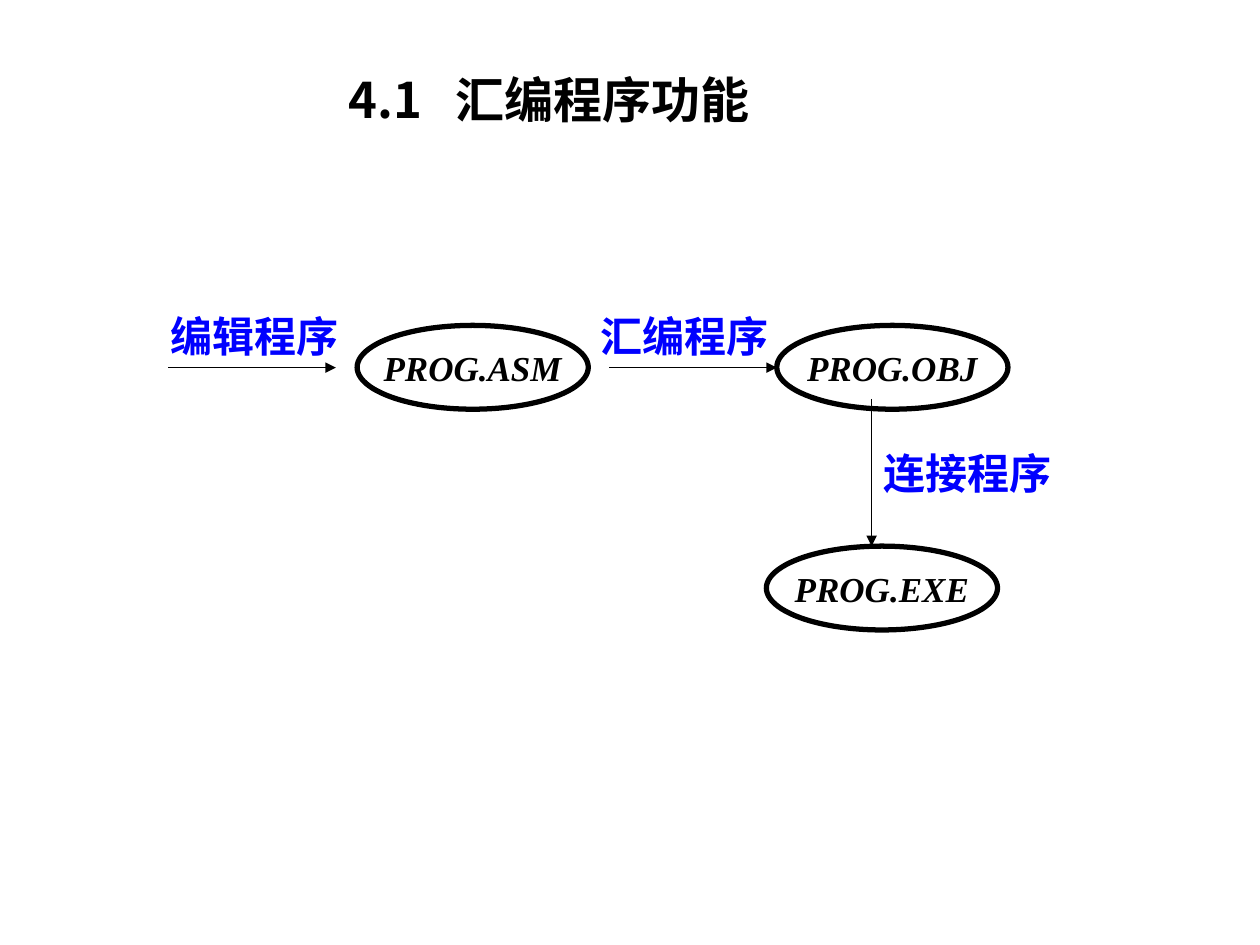
from lxml.etree import SubElement
from pptx import Presentation
from pptx.dml.color import RGBColor
from pptx.enum.shapes import MSO_CONNECTOR, MSO_SHAPE
from pptx.enum.text import MSO_ANCHOR, MSO_AUTO_SIZE, PP_ALIGN
from pptx.oxml.ns import qn
from pptx.util import Cm, Pt

COLORS = {"ink": "000000", "label": "0000FF"}
SANS = "Noto Sans CJK SC"
SERIF = "Times New Roman"


class Deck:
    def __init__(self):
        self.prs = Presentation()
        self.prs.slide_width = Cm(25.4)
        self.prs.slide_height = Cm(19.05)
        self.slide = self.prs.slides.add_slide(self.prs.slide_layouts[5])

    def color(self, name):
        return RGBColor.from_string(COLORS[name])

    def text(self, shape, words, size, font, color="ink", italic=False,
             align=PP_ALIGN.LEFT, wrap=True):
        frame = shape.text_frame
        frame.auto_size = MSO_AUTO_SIZE.NONE
        frame.word_wrap = wrap
        frame.vertical_anchor = MSO_ANCHOR.MIDDLE
        para = frame.paragraphs[0]
        para.alignment = align
        run = para.add_run()
        run.text = words
        run.font.size = Pt(size)
        run.font.bold = True
        run.font.italic = italic
        run.font.color.rgb = self.color(color)
        run.font.name = font
        SubElement(run.font._element, qn("a:ea"), typeface=SANS)
        return para

    def title(self, words, x, y, w, h, tab):
        shape = self.slide.shapes.title
        shape.left, shape.top, shape.width, shape.height = map(Cm, (x, y, w, h))
        para = self.text(shape, words, 28, SANS)
        tabs = SubElement(para._p.get_or_add_pPr(), qn("a:tabLst"))
        SubElement(tabs, qn("a:tab"), pos=str(Cm(tab)), algn="l")

    def label(self, words, x, y):
        box = self.slide.shapes.add_textbox(Cm(x), Cm(y), Cm(4.02), Cm(1.27))
        self.text(box, words, 24, SERIF, "label")

    def oval(self, words, x, y):
        shape = self.slide.shapes.add_shape(
            MSO_SHAPE.OVAL, Cm(x), Cm(y), Cm(4.66), Cm(1.69))
        shape.shadow.inherit = False
        shape.fill.background()
        shape.line.color.rgb = self.color("ink")
        shape.line.width = Pt(3)
        self.text(shape, words, 20, SERIF, italic=True,
                  align=PP_ALIGN.CENTER, wrap=False)

    def arrow(self, x1, y1, x2, y2):
        line = self.slide.shapes.add_connector(
            MSO_CONNECTOR.STRAIGHT, Cm(x1), Cm(y1), Cm(x2), Cm(y2))
        line.line.color.rgb = self.color("ink")
        line.line.width = Pt(0.75)
        SubElement(line.line._get_or_add_ln(), qn("a:tailEnd"), type="triangle")
        SubElement(line._element.spPr, qn("a:effectLst"))


def main():
    deck = Deck()
    deck.title("4.1\t汇编程序功能", 6.77, 1.27, 10.58, 1.44, 2.16)

    for words, x, y in (("PROG.ASM", 7.2, 6.56),
                        ("PROG.OBJ", 15.66, 6.56),
                        ("PROG.EXE", 15.45, 11.01)):
        deck.oval(words, x, y)

    for words, x, y in (("编辑程序", 3.18, 6.14),
                        ("汇编程序", 11.85, 6.14),
                        ("连接程序", 17.57, 8.89)):
        deck.label(words, x, y)

    for x in (3.39, 12.28):
        deck.arrow(x, 7.41, x + 3.38, 7.41)
    deck.arrow(17.57, 8.04, 17.57, 11.01)

    deck.prs.save("out.pptx")


if __name__ == "__main__":
    main()
